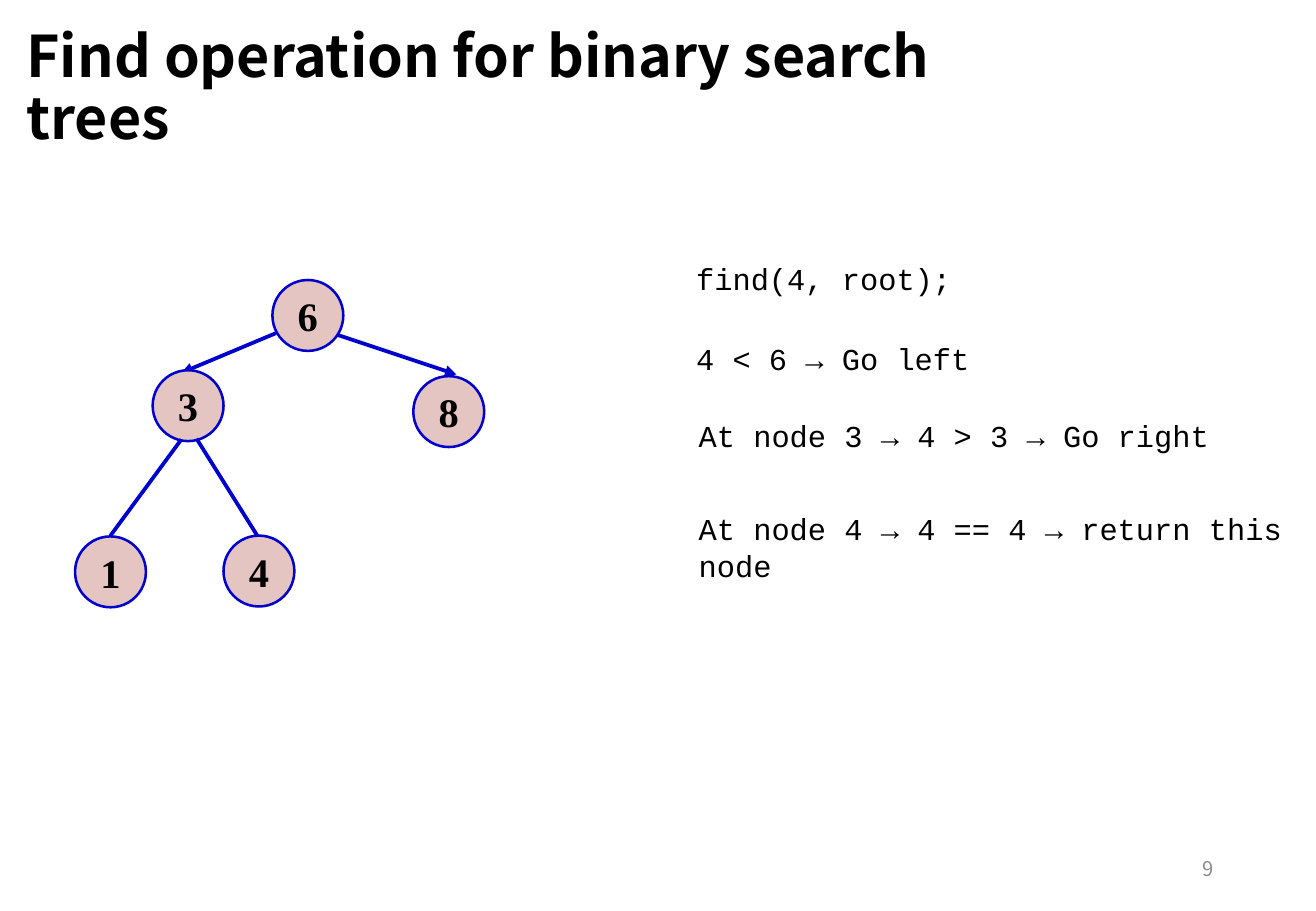
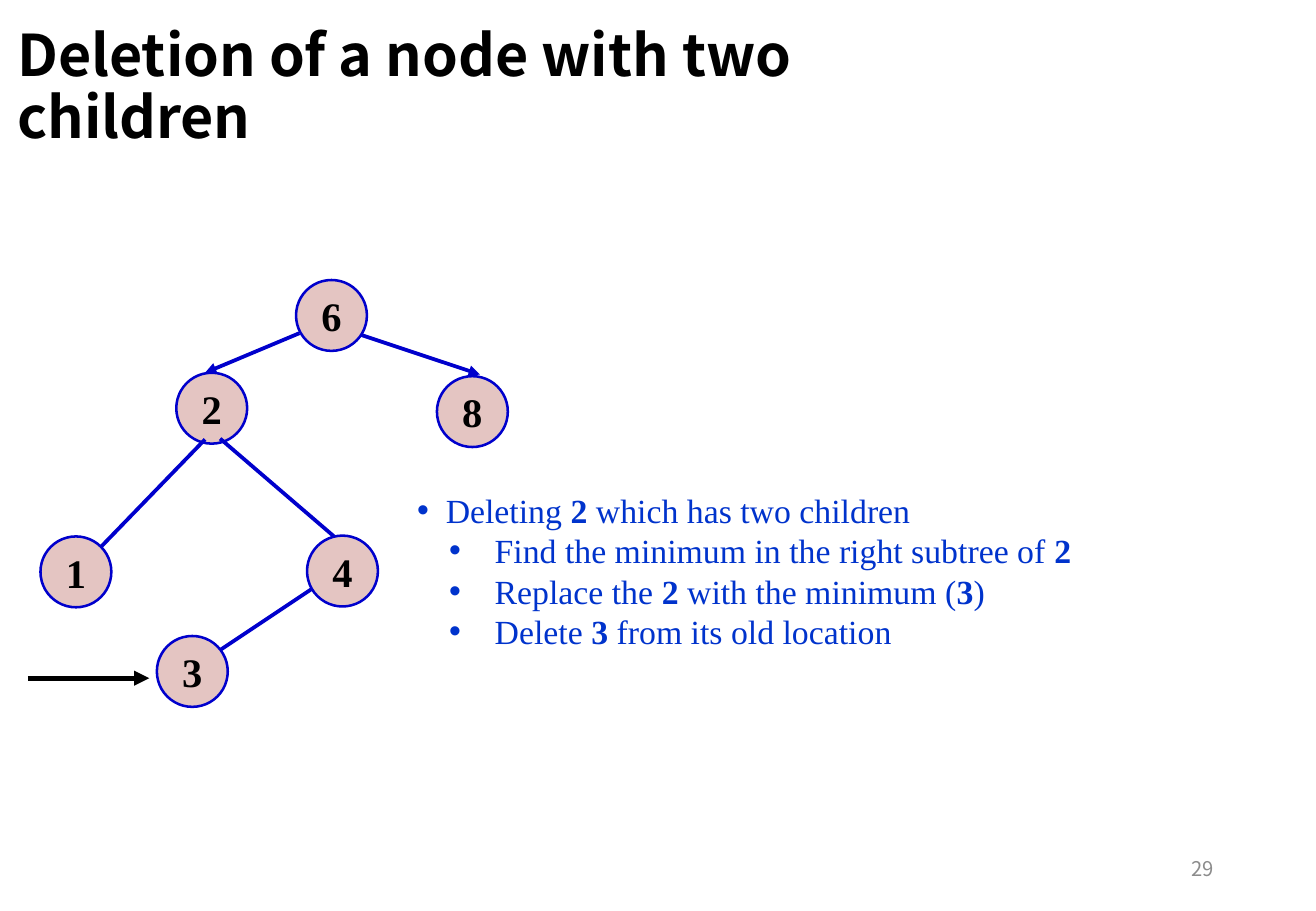
from lxml.etree import SubElement
from pptx import Presentation
from pptx.dml.color import RGBColor
from pptx.enum.shapes import MSO_CONNECTOR as CONNECTOR, MSO_SHAPE as SHAPE
from pptx.enum.text import MSO_ANCHOR as ANCHOR, MSO_AUTO_SIZE as AUTO_SIZE, PP_ALIGN as ALIGN
from pptx.oxml.ns import qn
from pptx.util import Pt

BLACK = RGBColor(0x00, 0x00, 0x00)
GRAY = RGBColor(0x8C, 0x8C, 0x8C)
EDGE_BLUE = RGBColor(0x00, 0x00, 0xCC)
LIST_BLUE = RGBColor(0x00, 0x33, 0xCC)
NODE_PINK = RGBColor(0xE4, 0xC5, 0xC2)
HEADING_FONT = "Noto Sans CJK SC"
NODE_FONT = "Times New Roman"
CODE_FONT = "Courier New"
NODE_SIZE = 42
LIST_LEVELS = [(17, 17), (46, 27)]


def place(shape, left, top, width, height):
    shape.left, shape.top = Pt(left), Pt(top)
    shape.width, shape.height = Pt(width), Pt(height)


def style(paragraph, font_name, size, color, bold=False):
    font = paragraph.font
    font.name, font.size, font.bold = font_name, Pt(size), bold
    font.color.rgb = color


def add_text(slide, text, box, font_name, size, color):
    label = slide.shapes.add_textbox(*(Pt(length) for length in box))
    label.text_frame.word_wrap = True
    paragraph = label.text_frame.paragraphs[0]
    paragraph.text = text
    style(paragraph, font_name, size, color)
    return label


def add_slide(deck, layout_index, title, left, top, number):
    slide = deck.slides.add_slide(deck.slide_layouts[layout_index])
    heading = slide.shapes.title
    place(heading, left, top, 570, 90)
    frame = heading.text_frame
    frame.text = title
    frame.auto_size = AUTO_SIZE.NONE
    frame.vertical_anchor = ANCHOR.MIDDLE
    paragraph = frame.paragraphs[0]
    paragraph.alignment = ALIGN.LEFT
    paragraph.line_spacing = 0.9
    style(paragraph, HEADING_FONT, 34, BLACK, bold=True)
    page = add_text(slide, number, (551, 500.5, 175.5, 28.75), HEADING_FONT, 12, GRAY)
    page.text_frame.vertical_anchor = ANCHOR.MIDDLE
    page.text_frame.paragraphs[0].alignment = ALIGN.RIGHT
    return slide


def add_node(slide, value, left, top):
    node = slide.shapes.add_shape(SHAPE.OVAL, Pt(left), Pt(top), Pt(NODE_SIZE), Pt(NODE_SIZE))
    node.shadow.inherit = False
    node.fill.solid()
    node.fill.fore_color.rgb = NODE_PINK
    node.line.color.rgb = EDGE_BLUE
    node.line.width = Pt(1.5)
    frame = node.text_frame
    frame.word_wrap = False
    frame.vertical_anchor = ANCHOR.MIDDLE
    paragraph = frame.paragraphs[0]
    paragraph.text = value
    paragraph.alignment = ALIGN.CENTER
    style(paragraph, NODE_FONT, 24, BLACK, bold=True)


def add_edge(slide, start, end, arrow=False, color=EDGE_BLUE, width=2.25):
    edge = slide.shapes.add_connector(CONNECTOR.STRAIGHT, *(Pt(length) for length in start + end))
    edge.line.color.rgb = color
    edge.line.width = Pt(width)
    if arrow:
        SubElement(edge.line._get_or_add_ln(), qn("a:tailEnd"), type="triangle")
    SubElement(edge._element.spPr, qn("a:effectLst"))


def add_tree(slide, shift, left_child, leaves, branches):
    value, top = left_child
    add_edge(slide, (163.5 + shift, 197.5), (107.5 + shift, 221), arrow=True)
    add_node(slide, "8", 245 + shift, 223)
    add_node(slide, value, 90.5 + shift, top)
    for leaf in leaves:
        add_node(slide, *leaf)
    for start, end in branches:
        add_edge(slide, start, end)
    add_edge(slide, (198.5 + shift, 198), (270.5 + shift, 222), arrow=True)
    add_node(slide, "6", 161.5 + shift, 166)


def add_bullets(slide, items):
    body = slide.placeholders[1]
    place(body, 240, 286.5, 412, 128)
    frame = body.text_frame
    frame.auto_size = AUTO_SIZE.NONE
    for index, (level, text) in enumerate(items):
        paragraph = frame.add_paragraph() if index else frame.paragraphs[0]
        paragraph.level = level
        paragraph.space_before = Pt(0)
        paragraph.line_spacing = Pt(24)
        style(paragraph, NODE_FONT, 20, LIST_BLUE)
        for part, words in enumerate(text.split("*")):
            run = paragraph.add_run()
            run.text = words
            if part % 2:
                run.font.bold = True
        margin, hanging = LIST_LEVELS[level]
        properties = paragraph._p.get_or_add_pPr()
        properties.set("marL", str(Pt(margin)))
        properties.set("indent", str(-Pt(hanging)))
        bullet = properties.find(qn("a:defRPr"))
        mark = SubElement(properties, qn("a:buChar"), char="•")
        if bullet is not None:
            bullet.addprevious(mark)


def build_find(deck):
    slide = add_slide(deck, 5, "Find operation for binary search trees", 8.5, 8.5, "9")
    add_tree(
        slide, 0, ("3", 219.5),
        [("1", 44.5, 318), ("4", 132.5, 317.5)],
        [((152.5, 317.5), (116.5, 260)), ((65.5, 317.5), (107.5, 260.5))],
    )
    steps = [
        ("find(4, root);", 405.5, 150.5, 29),
        ("4 < 6 → Go left", 405.5, 198, 29),
        ("At node 3 → 4 > 3 → Go right", 407, 244, 29),
        ("At node 4 → 4 == 4 → return this node", 407, 299, 51),
    ]
    for text, left, top, height in steps:
        add_text(slide, text, (left, top, 372, height), CODE_FONT, 18, BLACK)


def build_deletion(deck):
    slide = add_slide(deck, 1, "Deletion of a node with two children", 3, 8, "29")
    add_tree(
        slide, 14, ("2", 221),
        [("1", 24, 318), ("4", 182, 317.5)],
        [((131, 385), (185, 349)), ((198, 318), (130.5, 260)), ((60, 324), (121.5, 260.5))],
    )
    add_bullets(slide, [
        (0, "Deleting *2* which has two children"),
        (1, "Find the minimum in the right subtree of *2*"),
        (1, "Replace the *2* with the minimum (*3*)"),
        (1, "Delete *3* from its old location"),
    ])
    add_edge(slide, (16.5, 402), (88.5, 402), arrow=True, color=BLACK, width=3)
    add_node(slide, "3", 93, 377)


def main():
    deck = Presentation()
    deck.slide_width, deck.slide_height = Pt(780), Pt(540)
    build_find(deck)
    build_deletion(deck)
    deck.save("out.pptx")


if __name__ == "__main__":
    main()
